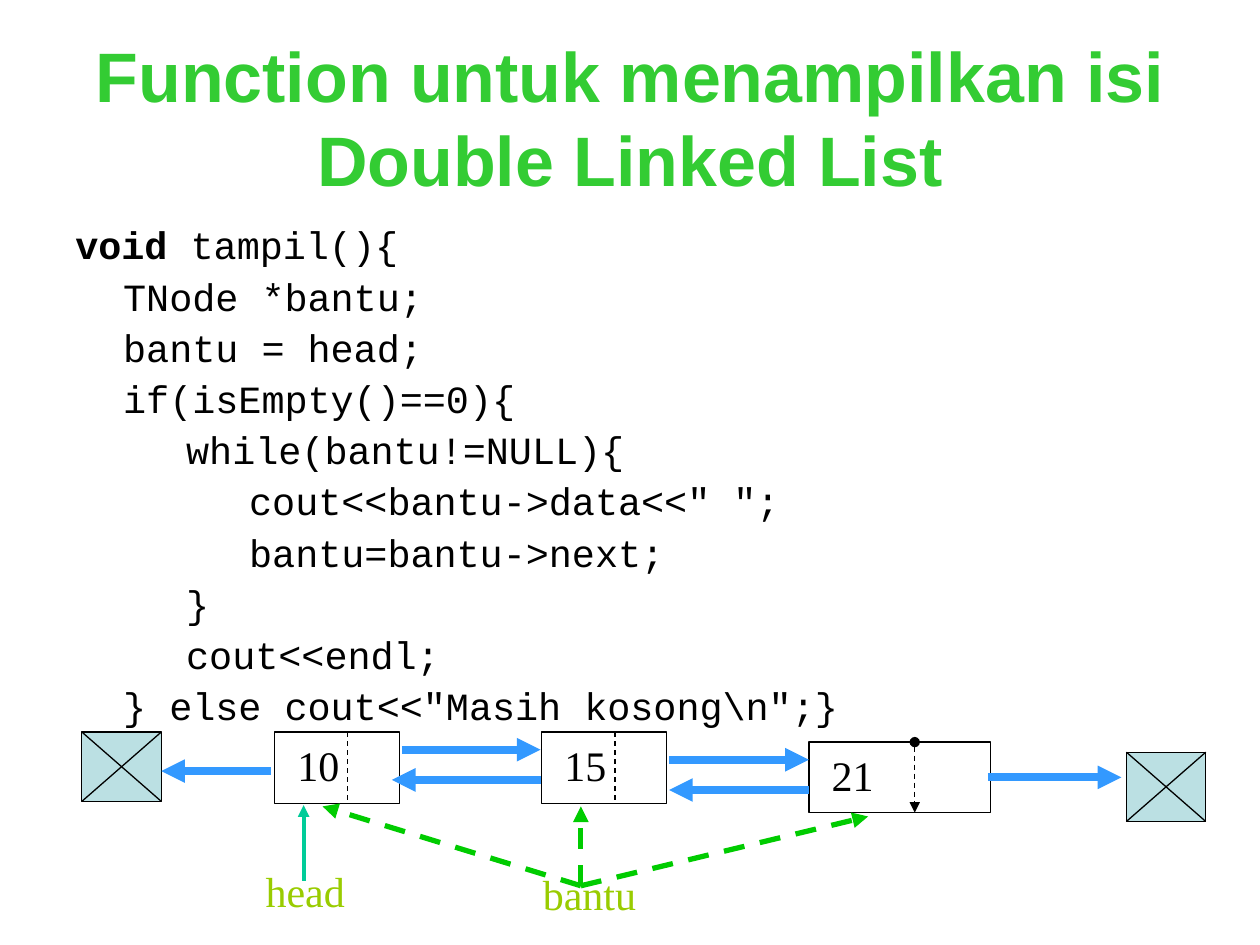
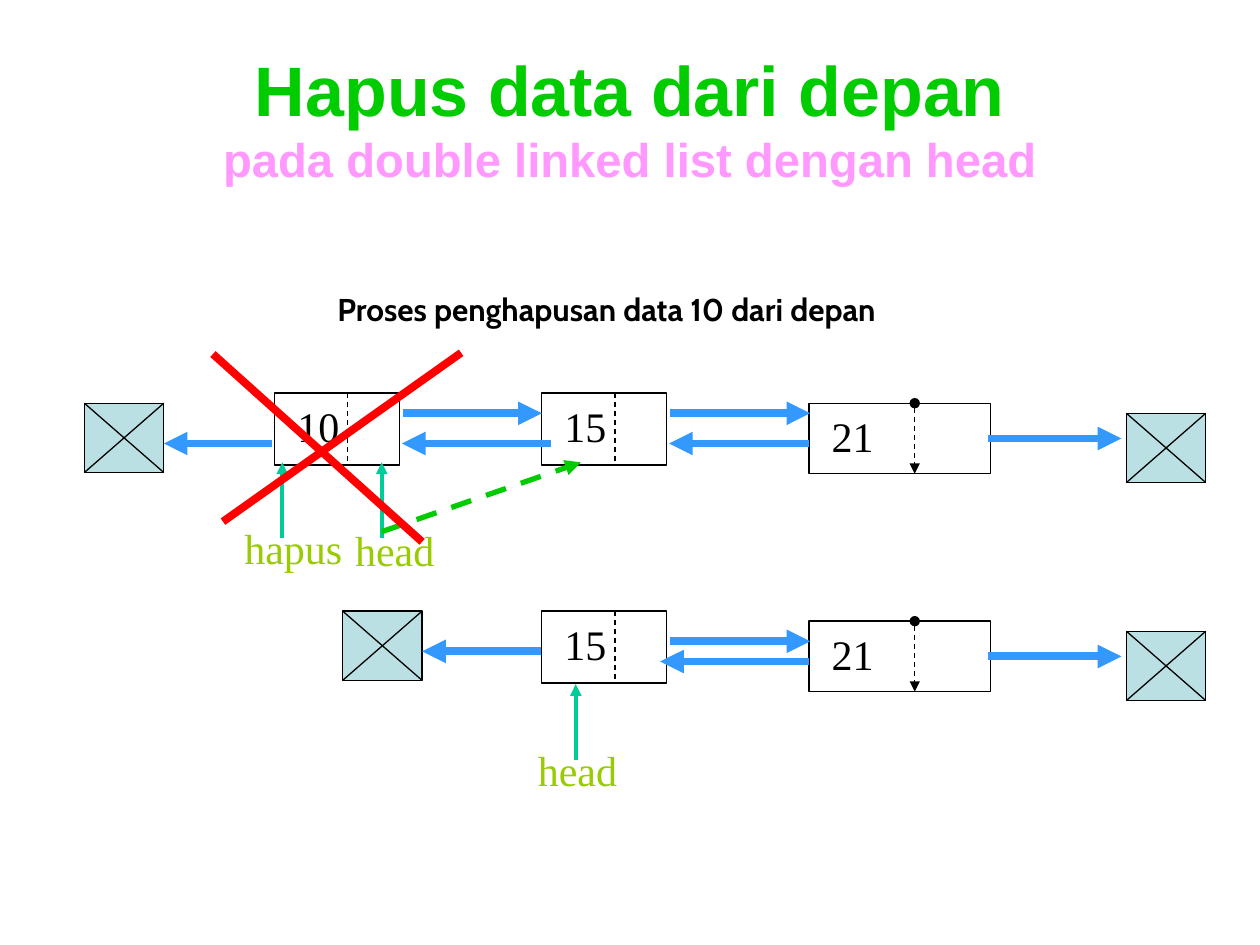
from lxml import etree
from pptx import Presentation
from pptx.dml.color import RGBColor
from pptx.enum.dml import MSO_LINE
from pptx.enum.shapes import MSO_CONNECTOR, MSO_SHAPE
from pptx.enum.text import MSO_ANCHOR, PP_ALIGN
from pptx.oxml.ns import qn
from pptx.util import Inches, Pt

COLORS = {
    "black": "000000", "white": "FFFFFF", "title": "33CC33", "green": "00CC00",
    "subtitle": "FF99FF", "link": "3399FF", "pointer": "00CC99",
    "label": "99CC00", "null": "BBE0E3", "cross": "FF0000",
}
TITLE_BOX = (0.5, 0.3, 9, 1.25)
NODE_HEIGHT = 0.57
NULL_SIZE = (0.63, 0.55)
LAST_NODE_DROP = 0.08
LAST_NULL = (8.94, 0.16)
POINTER_LENGTH = 0.6

CODE_LINES = [
    "\tTNode *bantu;",
    "\tbantu = head;",
    "\tif(isEmpty()==0){",
    "\t\twhile(bantu!=NULL){",
    "\t\t\tcout<<bantu->data<<\" \";",
    "\t\t\tbantu=bantu->next;",
    "\t\t}",
    "\t\tcout<<endl;",
    "\t} else cout<<\"Masih kosong\\n\";}",
]


def rgb(name):
    return RGBColor.from_string(COLORS[name])


def format_run(run, size, font, color, bold=False):
    run.font.size = Pt(size)
    run.font.name = font
    run.font.bold = bold
    run.font.color.rgb = rgb(color)


def add_text_frame(slide, box, wrap=True, anchor=MSO_ANCHOR.TOP):
    text_frame = slide.shapes.add_textbox(*map(Inches, box)).text_frame
    text_frame.word_wrap = wrap
    text_frame.vertical_anchor = anchor
    return text_frame


def add_line(slide, start, end, color="black", width=0.75, dashed=False,
             head=None, tail=None):
    connector = slide.shapes.add_connector(
        MSO_CONNECTOR.STRAIGHT, *map(Inches, (*start, *end)))
    connector.line.color.rgb = rgb(color)
    connector.line.width = Pt(width)
    if dashed:
        connector.line.dash_style = MSO_LINE.DASH
    properties = connector._element.spPr
    outline = properties.find(qn("a:ln"))
    for tag, kind in (("a:headEnd", head), ("a:tailEnd", tail)):
        if kind:
            etree.SubElement(outline, qn(tag), type=kind)
    etree.SubElement(properties, qn("a:effectLst"))


def add_box(slide, box, fill, preset=MSO_SHAPE.RECTANGLE):
    shape = slide.shapes.add_shape(preset, *map(Inches, box))
    shape.shadow.inherit = False
    shape.fill.solid()
    shape.fill.fore_color.rgb = rgb(fill)
    shape.line.color.rgb = rgb("black")
    shape.line.width = Pt(0.75)
    return shape


def draw_title(slide, lines):
    """Each line is (text, size, color)."""
    text_frame = add_text_frame(slide, TITLE_BOX, anchor=MSO_ANCHOR.MIDDLE)
    paragraph = text_frame.paragraphs[0]
    paragraph.text = "\v".join(text for text, _, _ in lines)
    paragraph.alignment = PP_ALIGN.CENTER
    for run, (_, size, color) in zip(paragraph.runs, lines):
        format_run(run, size, "Arial", color, bold=True)


def draw_code(slide, box):
    text_frame = add_text_frame(slide, box)
    text_frame.text = "\n".join(["void", *CODE_LINES])
    text_frame.paragraphs[0].add_run().text = " tampil(){"
    for paragraph in text_frame.paragraphs:
        paragraph.alignment = PP_ALIGN.JUSTIFY
        paragraph.line_spacing = 0.9
        paragraph.space_before = Pt(5.5)
        properties = paragraph._p.get_or_add_pPr()
        properties.set("marL", str(Inches(0.38)))
        properties.set("indent", str(-Inches(0.38)))
        tabs = etree.SubElement(properties, qn("a:tabLst"))
        for stop in range(8):
            etree.SubElement(tabs, qn("a:tab"), pos=str(Inches(stop)), algn="l")
        for run in paragraph.runs:
            format_run(run, 22, "Courier New", "black", bold=run.text == "void")


def draw_node(slide, left, top, value, width=0.99, height=NODE_HEIGHT,
              divider=0.58, head=None, tail=None):
    shape = add_box(slide, (left, top, width, height), "white",
                    MSO_SHAPE.ROUNDED_RECTANGLE)
    shape.adjustments[0] = 0
    text_frame = add_text_frame(slide, (left, top + 0.04, width, 0.48),
                                anchor=MSO_ANCHOR.MIDDLE)
    text_frame.margin_left = Inches(0.18)
    paragraph = text_frame.paragraphs[0]
    paragraph.text = value
    paragraph.line_spacing = 0.95
    format_run(paragraph.runs[0], 24, "Times New Roman", "black")
    middle = left + divider
    add_line(slide, (middle, top), (middle, top + height), dashed=True,
             head=head, tail=tail)


def draw_null(slide, left, top):
    width, height = NULL_SIZE
    right, bottom = left + width, top + height
    add_box(slide, (left, top, width, height), "null")
    add_line(slide, (left, top), (right, bottom))
    add_line(slide, (right, top), (left, bottom))


def draw_list(slide, top, nodes, first_null, links):
    """Offsets of first_null and links run from the top of the row."""
    for left, value in nodes:
        draw_node(slide, left, top, value)
    draw_node(slide, 6.42, top + LAST_NODE_DROP, "21", width=1.44,
              height=0.56, divider=0.84, head="oval", tail="triangle")
    for left, drop in (first_null, LAST_NULL):
        draw_null(slide, left, top + drop)
    for start, end, drop in [*links, (7.84, 8.9, 0.36)]:
        add_line(slide, (start, top + drop), (end, top + drop), "link", 4.5,
                 tail="triangle")


def draw_label(slide, left, top, width, text):
    text_frame = add_text_frame(slide, (left, top, width, 0.48), wrap=False)
    paragraph = text_frame.paragraphs[0]
    paragraph.text = text
    paragraph.line_spacing = 0.95
    format_run(paragraph.runs[0], 24, "Times New Roman", "label")


def draw_pointer(slide, x, tip, label_left, label_drop, width, text):
    add_line(slide, (x, tip + POINTER_LENGTH), (x, tip), "pointer", 2.25,
             tail="triangle")
    draw_label(slide, label_left, tip + label_drop, width, text)


def draw_move(slide, start, end):
    add_line(slide, start, end, "green", 3, dashed=True, tail="triangle")


def build_display_slide(slide):
    draw_title(slide, [("Function untuk menampilkan isi Double Linked List",
                        40, "title")])
    draw_code(slide, (0.5, 1.75, 9, 4.95))
    draw_list(slide, 5.81, [(2.18, "10"), (4.3, "15")], (0.65, 0),
              [(2.15, 1.28, 0.31), (3.19, 4.29, 0.14), (4.29, 3.11, 0.38),
               (5.31, 6.42, 0.22), (6.42, 5.31, 0.46)])
    # Pointers under the list
    draw_pointer(slide, 2.41, 6.39, 2.01, 0.46, 0.83, "head")
    draw_label(slide, 4.21, 6.87, 0.94, "bantu")
    for target in ((2.56, 6.4), (4.61, 6.4), (6.89, 6.48)):
        draw_move(slide, (4.61, 7.03), target)


def build_delete_slide(slide):
    draw_title(slide, [("Hapus data dari depan", 40, "green"),
                       ("pada double linked list dengan head", 27, "subtitle")])
    # Caption
    text_frame = add_text_frame(slide, (2.58, 2.25, 5.18, 0.4), wrap=False)
    text_frame.text = "Proses penghapusan data 10 dari depan"
    format_run(text_frame.paragraphs[0].runs[0], 18, "Cabin", "black", bold=True)
    # List before the deletion
    draw_list(slide, 3.12, [(2.18, "10"), (4.3, "15")], (0.67, 0.08),
              [(2.16, 1.3, 0.4), (3.2, 4.3, 0.16), (4.37, 3.19, 0.4),
               (5.32, 6.43, 0.16), (6.42, 5.31, 0.4)])
    draw_pointer(slide, 2.24, 3.67, 1.84, 0.46, 0.98, "hapus")
    draw_pointer(slide, 3.03, 3.67, 2.72, 0.47, 0.83, "head")
    draw_move(slide, (3.03, 4.22), (4.61, 3.67))
    # Cross over the deleted node
    for start, end in (((1.69, 2.81), (3.35, 4.3)), ((3.66, 2.8), (1.77, 4.14))):
        add_line(slide, start, end, "cross", 4.5)
    # List after the deletion
    draw_list(slide, 4.85, [(4.3, "15")], (2.72, 0),
              [(4.29, 3.35, 0.32), (5.32, 6.43, 0.24), (6.42, 5.24, 0.4)])
    draw_pointer(slide, 4.57, 5.43, 4.17, 0.46, 0.83, "head")


def main():
    presentation = Presentation()
    presentation.slide_width = Inches(10)
    presentation.slide_height = Inches(7.5)
    for build in (build_display_slide, build_delete_slide):
        build(presentation.slides.add_slide(presentation.slide_layouts[6]))
    presentation.save("out.pptx")


if __name__ == "__main__":
    main()
